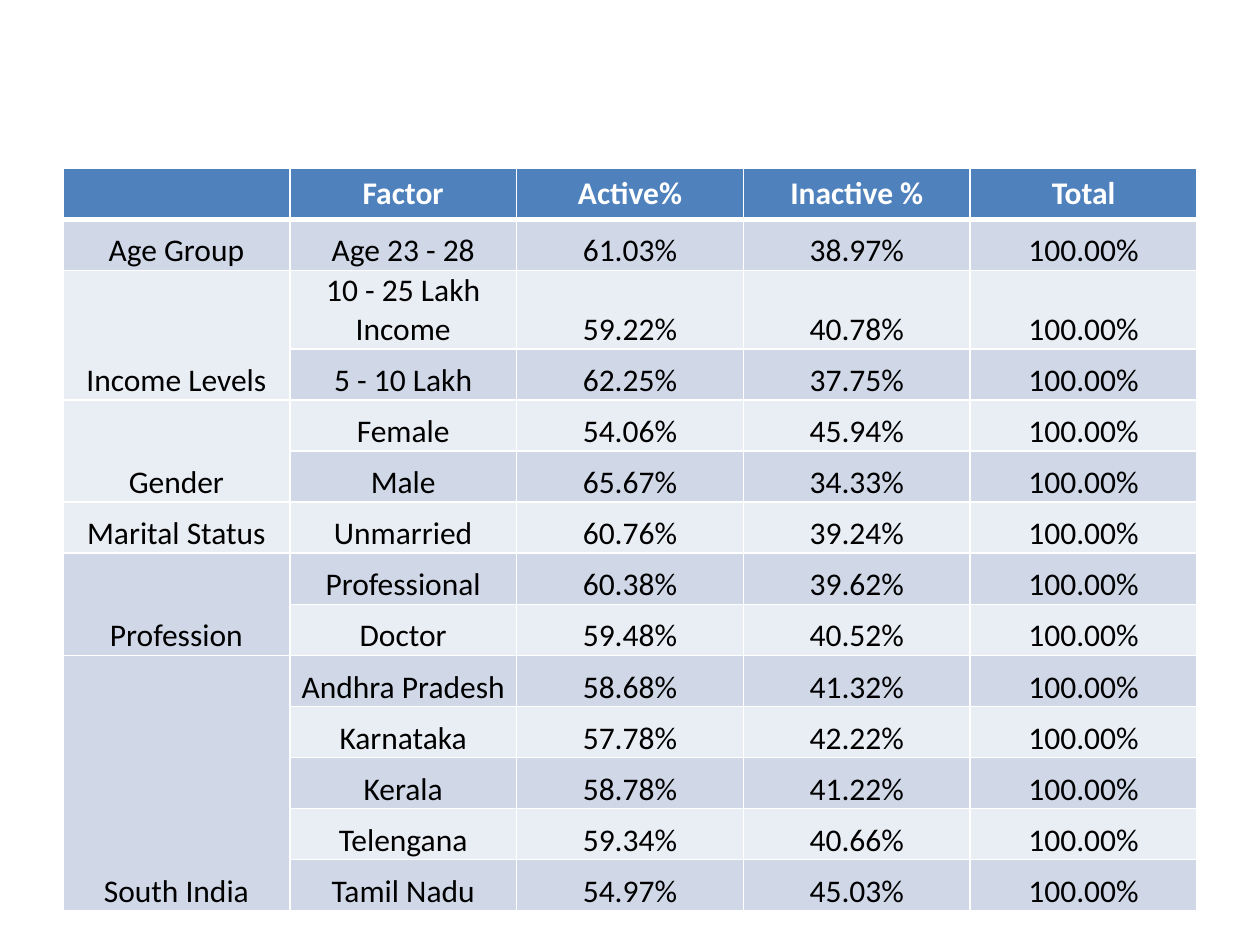
import pptx
import pptx.util
import pptx.dml.color
import pptx.enum.text
import pptx.oxml
import pptx.oxml.ns

Cm = pptx.util.Cm
HUES = {"head": "4F81BD", "odd": "D0D8E8", "even": "E9EDF4",
        "line": "FFFFFF", "light": "FFFFFF", "dark": "000000"}
HEADS = ["", "Factor", "Active%", "Inactive %", "Total"]
GROUPS = [
    ("Age Group", [("Age 23 - 28", "61.03%", "38.97%")]),
    ("Income Levels", [("10 - 25 Lakh Income", "59.22%", "40.78%"),
                       ("5 - 10 Lakh", "62.25%", "37.75%")]),
    ("Gender", [("Female", "54.06%", "45.94%"),
                ("Male", "65.67%", "34.33%")]),
    ("Marital Status", [("Unmarried", "60.76%", "39.24%")]),
    ("Profession", [("Professional", "60.38%", "39.62%"),
                    ("Doctor", "59.48%", "40.52%")]),
    ("South India", [("Andhra Pradesh", "58.68%", "41.32%"),
                     ("Karnataka", "57.78%", "42.22%"),
                     ("Kerala", "58.78%", "41.22%"),
                     ("Telengana", "59.34%", "40.66%"),
                     ("Tamil Nadu", "54.97%", "45.03%")]),
]
TOTAL = "100.00%"


def rgb(name):
    """Return the named colour."""
    return pptx.dml.color.RGBColor.from_string(HUES[name])


def add_edges(cell, row):
    """Rule the cell in white, with a thick line below the head row."""
    thick = {0: "B", 1: "T"}.get(row)
    props = cell._tc.get_or_add_tcPr()
    for side in "LRTB":
        width = pptx.util.Pt(3 if side == thick else 1)
        props.append(pptx.oxml.parse_xml(
            f'<a:ln{side} {pptx.oxml.ns.nsdecls("a")} w="{width}"><a:solidFill>'
            f'<a:srgbClr val="{HUES["line"]}"/></a:solidFill></a:ln{side}>'))


def fill_cell(cell, row, text):
    """Style one cell by its row and write its text."""
    head = row == 0
    add_edges(cell, row)
    cell.fill.solid()
    cell.fill.fore_color.rgb = rgb("head" if head else "odd" if row % 2 else "even")
    if not head:
        cell.vertical_anchor = pptx.enum.text.MSO_ANCHOR.BOTTOM
        cell.margin_left = cell.margin_right = cell.margin_top = Cm(0.03)
        cell.margin_bottom = 0
    if not text:
        return
    para = cell.text_frame.paragraphs[0]
    para.alignment = pptx.enum.text.PP_ALIGN.CENTER
    run = para.add_run()
    run.text = text
    run.font.name = "Calibri"
    run.font.size = pptx.util.Pt(18)
    run.font.bold = head
    run.font.color.rgb = rgb("light" if head else "dark")


def add_grid(slide, left, top, width, pitch):
    """Place the table of factors, one merged label for each group."""
    rows = [HEADS]
    spans = []
    for label, items in GROUPS:
        spans.append((len(rows), len(items)))
        for num, item in enumerate(items):
            rows.append(["" if num else label, *item, TOTAL])
    grid = slide.shapes.add_table(len(rows), len(HEADS), left, top,
                                  width, pitch * len(rows)).table
    for row, texts in enumerate(rows):
        grid.rows[row].height = pitch
        for col, text in enumerate(texts):
            fill_cell(grid.cell(row, col), row, text)
    for first, count in spans:
        if count > 1:
            grid.cell(first, 0).merge(grid.cell(first + count - 1, 0))


def main():
    """Build the slide and save it."""
    deck = pptx.Presentation()
    deck.slide_width, deck.slide_height = Cm(25.4), Cm(19.05)
    slide = deck.slides.add_slide(deck.slide_layouts[6])
    add_grid(slide, Cm(1.27), Cm(3.39), Cm(22.86), Cm(1.03))
    deck.save("out.pptx")


main()
